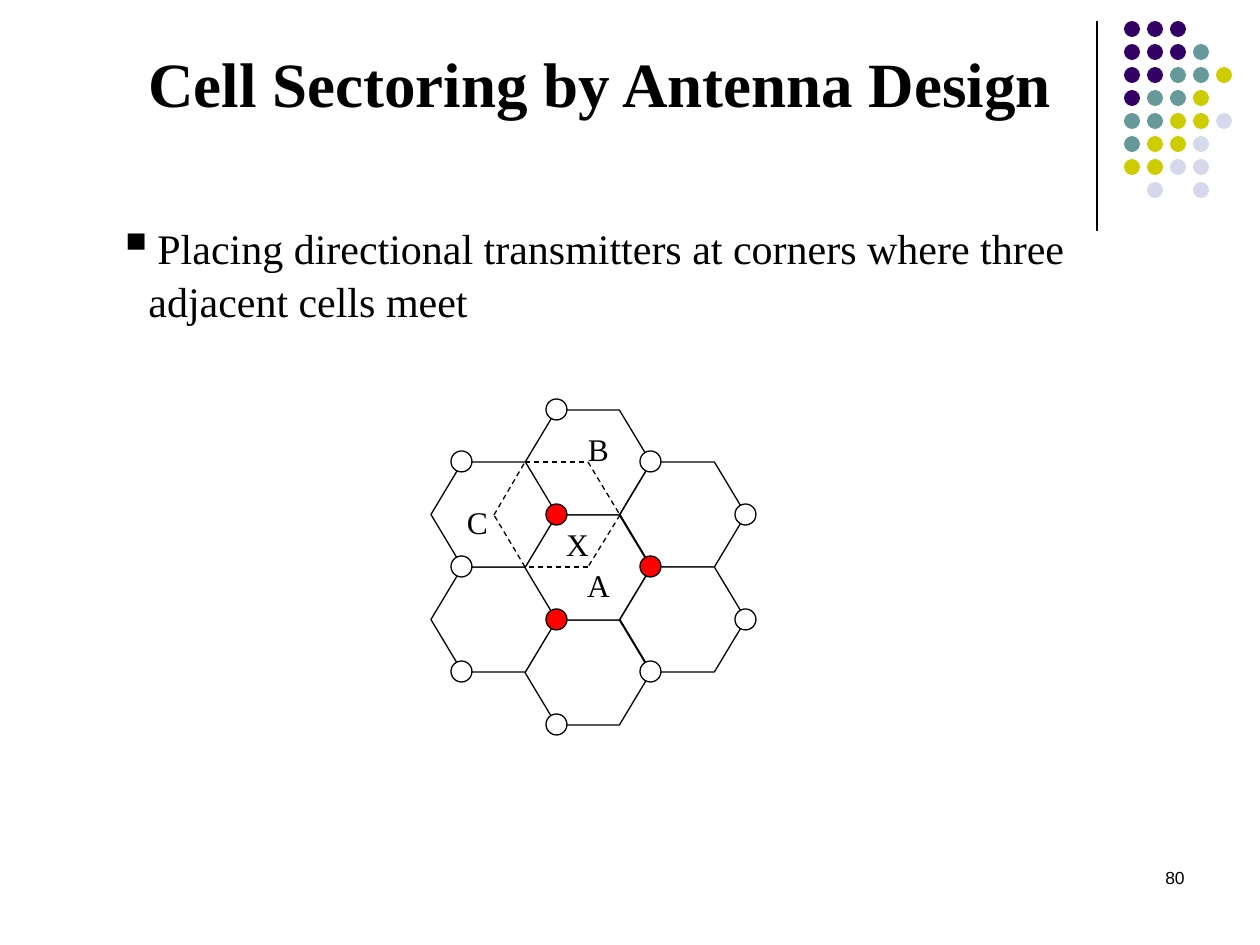
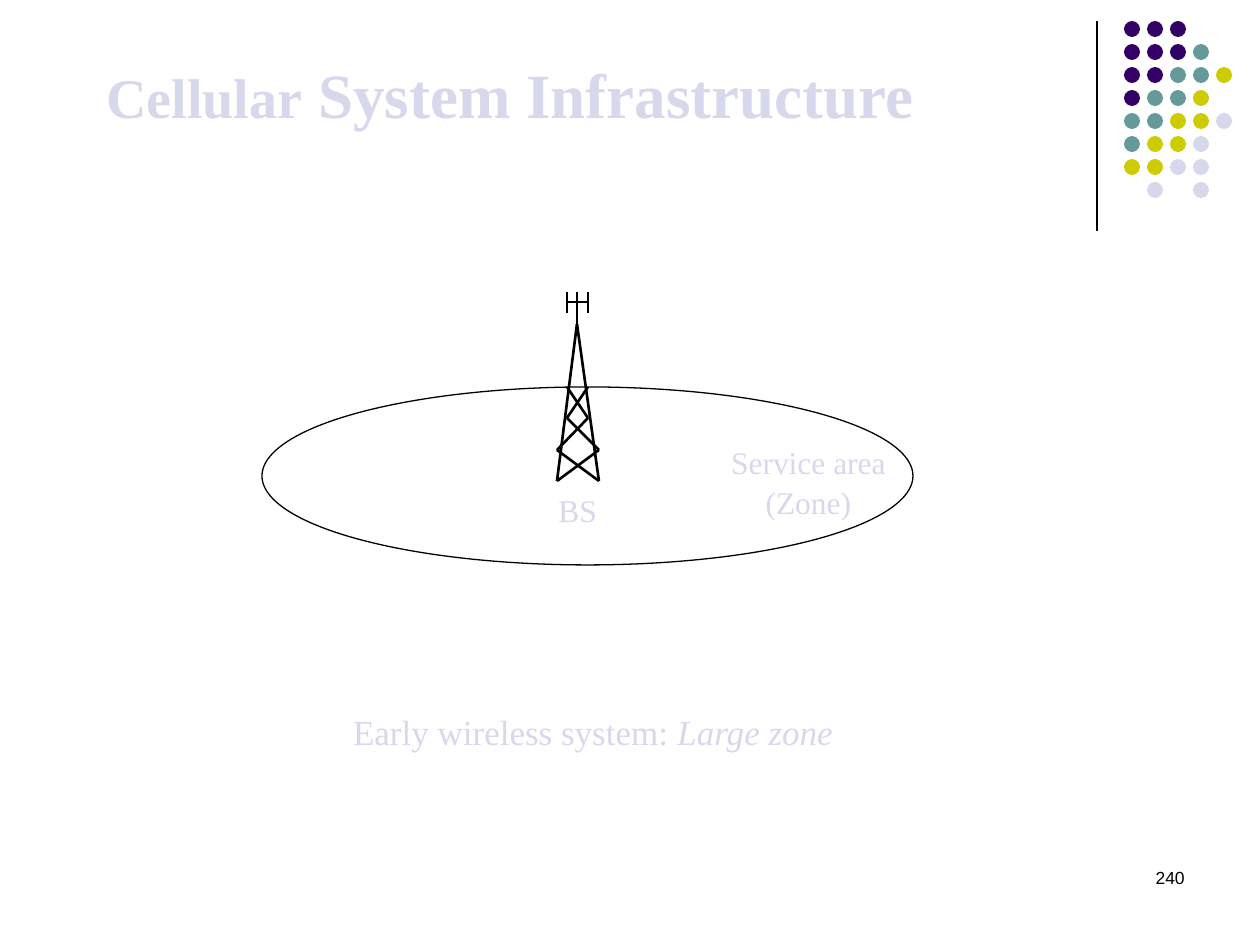
import pptx
import pptx.dml.color
import pptx.enum.dml
import pptx.enum.shapes
import pptx.enum.text
import pptx.oxml
import pptx.oxml.ns
import pptx.util
from lxml import etree

PX = 7257  # EMU in one px, 126 px to the inch
COLORS = {"black": "000000", "white": "FFFFFF", "red": "FF0000",
          "purple": "330066", "teal": "669999", "lime": "CCCC00", "lavender": "D8D8EC"}
SERIF = "Times New Roman"
SHAPES = pptx.enum.shapes.MSO_SHAPE
ALIGN = pptx.enum.text.PP_ALIGN
ANCHOR = pptx.enum.text.MSO_ANCHOR


def rgb(name):
    return pptx.dml.color.RGBColor.from_string(COLORS[name])


def add_text(slide, box, text, size, color="black", align=ALIGN.LEFT,
             anchor=ANCHOR.TOP, font=SERIF, bold=False, spacing=1.05):
    """Add a text box with one paragraph per line of text."""
    frame = slide.shapes.add_textbox(*[value * PX for value in box]).text_frame
    frame.word_wrap = True
    frame.vertical_anchor = anchor
    frame.text = text
    for paragraph in frame.paragraphs:
        paragraph.alignment = align
        paragraph.line_spacing = spacing
        paragraph.font.name = font
        paragraph.font.size = pptx.util.Pt(size)
        paragraph.font.bold = bold
        paragraph.font.color.rgb = rgb(color)
    return frame


presentation = pptx.Presentation()
presentation.slide_width = pptx.util.Inches(10)
presentation.slide_height = pptx.util.Inches(7.5)
blank = presentation.slide_layouts[6]
sectoring = presentation.slides.add_slide(blank)
infrastructure = presentation.slides.add_slide(blank)

# Shapes are (slide, preset, box, fill, outline); lines are (slide, points, width, dashed)
shapes = []
lines = []

# Shared corner: dot pattern, vertical rule, page number
DOT_ROWS = ["PPP", "PPPT", "PPTTL", "PTTL", "TTLLV", "TLLV", "LLVV", " V V"]
DOT_COLORS = {"P": "purple", "T": "teal", "L": "lime", "V": "lavender"}
for slide, number in ((sectoring, "80"), (infrastructure, "240")):
    lines.append((slide, [(1097, 21), (1097, 231)], 0.75, False))
    for row, dots in enumerate(DOT_ROWS):
        for column, dot in enumerate(dots):
            if dot in DOT_COLORS:
                box = (1124 + 23 * column, 21 + 23 * row, 16, 16)
                shapes.append((slide, SHAPES.OVAL, box, DOT_COLORS[dot], None))
    add_text(slide, (903, 861, 294, 63), number, 10, align=ALIGN.RIGHT,
             font="Arial", spacing=1)

# Slide 1: hexagonal cells with transmitters at their corners
ROW_Y = [410, 462, 515, 567, 620, 672, 725]
CELL_X = [431, 525, 620]
TRANSMITTER_X = [462, 557, 651, 746]
for column, row in ((1, 4), (1, 0), (0, 3), (1, 2), (0, 1), (2, 1), (2, 3)):
    box = (CELL_X[column], ROW_Y[row], 126, 105)
    shapes.append((sectoring, SHAPES.HEXAGON, box, "white", "black"))

transmitters = {
    "red": [(1, 4), (2, 3), (1, 2)],
    "white": [(1, 6), (2, 5), (3, 4), (3, 2), (2, 1), (1, 0), (0, 1), (0, 3), (0, 5)],
}
for fill, places in transmitters.items():
    for column, row in places:
        box = (TRANSMITTER_X[column] - 11, ROW_Y[row] - 11, 21, 21)
        shapes.append((sectoring, SHAPES.OVAL, box, fill, "black"))

sector_x = [(525, 462), (588, 462), (620, 515), (588, 567), (525, 567), (494, 515)]
lines.append((sectoring, sector_x + sector_x[:1], 0.75, True))

# Slide 2: service area and base station tower
shapes.append((infrastructure, SHAPES.OVAL, (262, 387, 651, 178), None, "black"))
tower = [
    [(557, 481), (577, 324), (599, 481)],              # legs
    [(557, 481), (599, 450), (567, 418), (588, 387)],  # braces
    [(599, 481), (557, 450), (588, 418), (567, 387)],
    [(577, 324), (577, 292)],                          # antenna
    [(567, 292), (567, 313)],
    [(588, 292), (588, 313)],
    [(567, 302), (588, 302)],
]
lines += [(infrastructure, points, 1.5, False) for points in tower]

# Draw the shapes
for slide, preset, box, fill, outline in shapes:
    shape = slide.shapes.add_shape(preset, *[value * PX for value in box])
    shape.shadow.inherit = False
    if preset == SHAPES.HEXAGON:
        shape.adjustments[0] = 0.3
    if fill:
        shape.fill.solid()
        shape.fill.fore_color.rgb = rgb(fill)
    else:
        shape.fill.background()
    if outline:
        shape.line.color.rgb = rgb(outline)
        shape.line.width = pptx.util.Pt(0.75)
    else:
        shape.line.fill.background()

# Draw the lines
for slide, points, width, dashed in lines:
    for start, end in zip(points, points[1:]):
        connector = slide.shapes.add_connector(
            pptx.enum.shapes.MSO_CONNECTOR.STRAIGHT,
            *[value * PX for value in start + end])
        connector.line.color.rgb = rgb("black")
        connector.line.width = pptx.util.Pt(width)
        if dashed:
            connector.line.dash_style = pptx.enum.dml.MSO_LINE.DASH
        etree.SubElement(connector._element.spPr, pptx.oxml.ns.qn("a:effectLst"))

# Slide 1 text
add_text(sectoring, (136, 10, 1074, 116), "Cell Sectoring by Antenna Design", 36,
         anchor=ANCHOR.BOTTOM, bold=True, spacing=1)
body = add_text(sectoring, (105, 189, 1018, 168),
                "Placing directional transmitters at corners where three\nadjacent cells meet",
                24, anchor=ANCHOR.MIDDLE)
for paragraph, margin, bullet in zip(body.paragraphs, (40, 31), ("▪", None)):
    properties = paragraph._p.get_or_add_pPr()
    properties.set("marL", str(margin * PX))
    properties.set("indent", str(-margin * PX if bullet else 0))
    if bullet:
        namespace = pptx.oxml.ns.nsdecls("a")
        position = list(properties).index(properties.find(pptx.oxml.ns.qn("a:defRPr")))
        for offset, markup in enumerate((
                f'<a:buClr {namespace}><a:srgbClr val="{COLORS["black"]}"/></a:buClr>',
                f'<a:buSzPct {namespace} val="120000"/>',
                f'<a:buChar {namespace} char="{bullet}"/>')):
            properties.insert(position + offset, pptx.oxml.parse_xml(markup))

for label, box in (("A", (567, 558, 63, 50)), ("B", (567, 422, 63, 50)),
                   ("C", (441, 495, 73, 50)), ("X", (546, 517, 63, 50))):
    add_text(sectoring, box, label, 18, align=ALIGN.CENTER)

# Slide 2 text
title = add_text(infrastructure, (94, 21, 1121, 116), "Cellular", 36, "lavender",
                 anchor=ANCHOR.BOTTOM, bold=True, spacing=1).paragraphs[0]
title.runs[0].font.size = pptx.util.Pt(32)
title.add_run().text = " System Infrastructure"
add_text(infrastructure, (546, 483, 73, 50), "BS", 18, "lavender")
add_text(infrastructure, (714, 435, 189, 88), "Service area (Zone)", 18, "lavender",
         align=ALIGN.CENTER)
caption = add_text(infrastructure, (147, 702, 892, 55), "Early wireless system: ", 20,
                   "lavender", align=ALIGN.CENTER).paragraphs[0]
zone = caption.add_run()
zone.text = "Large zone"
zone.font.italic = True

presentation.save("out.pptx")
